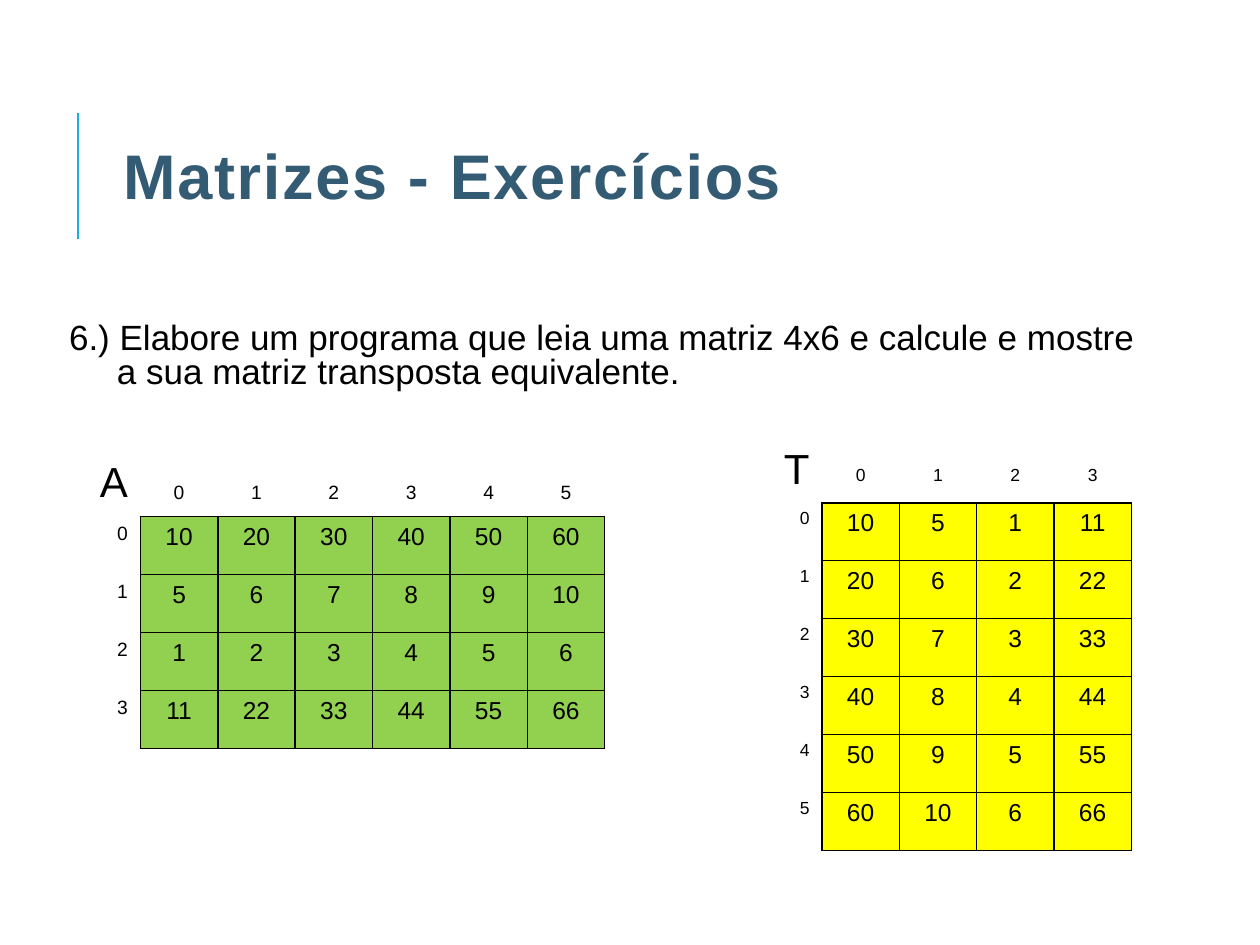
from dataclasses import dataclass

from lxml import etree
from pptx import Presentation
from pptx.dml.color import RGBColor
from pptx.enum.shapes import MSO_CONNECTOR
from pptx.enum.text import MSO_ANCHOR, PP_ALIGN
from pptx.oxml.ns import qn
from pptx.util import Inches, Pt

FONT = "Arial"
LEFT, CENTER, RIGHT = PP_ALIGN.LEFT, PP_ALIGN.CENTER, PP_ALIGN.RIGHT
MIDDLE, STRAIGHT = MSO_ANCHOR.MIDDLE, MSO_CONNECTOR.STRAIGHT
COLORS = {
    "accent": "1CADE4",
    "title": "335B74",
    "text": "000000",
    "border": "000000",
    "green": "92D050",
    "yellow": "FFFF00",
}
HEADER_H, ROW_H = 0.5, 0.46
MATRIX_A = [
    [10, 20, 30, 40, 50, 60],
    [5, 6, 7, 8, 9, 10],
    [1, 2, 3, 4, 5, 6],
    [11, 22, 33, 44, 55, 66],
]


@dataclass
class Matrix:
    name: str
    values: list
    left: float
    top: float
    width: float
    color: str
    index_size: int
    index_top: float


MATRICES = [
    Matrix("A", MATRIX_A, 0.5, 3.6, 4.3, "green", 11, 0.23),
    Matrix("T", list(zip(*MATRIX_A)), 5.91, 3.49, 3.07, "yellow", 10, 0.21),
]


def rgb(name: str) -> RGBColor:
    return RGBColor.from_string(COLORS[name])


def set_text(tf, text: str, size: int, color: str = "text", align=LEFT):
    tf.text = text
    p = tf.paragraphs[0]
    p.alignment = align
    r = p.runs[0]
    r.font.name, r.font.size = FONT, Pt(size)
    r.font.color.rgb = rgb(color)
    return p


def add_text(s, text: str, box: tuple, size: int, color: str = "text"):
    tf = s.shapes.add_textbox(*map(Inches, box)).text_frame
    tf.word_wrap = True
    return tf, set_text(tf, text, size, color)


def set_borders(cell, sides: str) -> None:
    """Rule the given sides (letters of LRTB) and clear the others."""
    tc_pr = cell._tc.get_or_add_tcPr()
    for side in "LRTB":
        ln = etree.SubElement(tc_pr, qn(f"a:ln{side}"), w=str(Pt(1)))
        if side in sides:
            fill = etree.SubElement(ln, qn("a:solidFill"))
            etree.SubElement(fill, qn("a:srgbClr"), val=COLORS["border"])
        else:
            etree.SubElement(ln, qn("a:noFill"))


def add_matrix(s, m: Matrix) -> None:
    """Draw the values with their row and column indices around them."""
    grid = [[m.name, *range(len(m.values[0]))]]
    grid += [[i, *row] for i, row in enumerate(m.values)]
    rows, cols = len(grid), len(grid[0])
    height = HEADER_H + ROW_H * (rows - 1)
    box = map(Inches, (m.left, m.top, m.width, height))
    table = s.shapes.add_table(rows, cols, *box).table
    table.first_row = table.horz_banding = False
    for column in table.columns:
        column.width = Inches(m.width / cols)
    for i, row in enumerate(grid):
        table.rows[i].height = Inches(ROW_H if i else HEADER_H)
        for j, value in enumerate(row):
            cell = table.cell(i, j)
            if i and j:
                size, sides = 14, "LRTB"
            elif i or j:
                size, sides = m.index_size, "R" if i else "B"
            else:
                size, sides = 24, ""
            set_borders(cell, sides)
            if i and j:
                cell.fill.solid()
                cell.fill.fore_color.rgb = rgb(m.color)
            else:
                cell.fill.background()
            if j and not i:
                cell.margin_top = Inches(m.index_top)
            set_text(cell.text_frame, str(value), size,
                     align=CENTER if j else RIGHT)


def main() -> None:
    prs = Presentation()
    prs.slide_width, prs.slide_height = Inches(10), Inches(7.5)
    s = prs.slides.add_slide(prs.slide_layouts[6])

    bar = s.shapes.add_connector(
        STRAIGHT, *map(Inches, (0.62, 1.9, 0.62, 0.9)))
    bar.line.color.rgb = rgb("accent")
    bar.line.width = Pt(1.5)
    etree.SubElement(bar._element.spPr, qn("a:effectLst"))

    tf, p = add_text(s, "Matrizes - Exercícios", (0.88, 0.76, 9, 1.25),
                     36, "title")
    tf.vertical_anchor = MIDDLE
    font = p.runs[0].font
    font.bold = True
    font._element.set("spc", "100")

    _, p = add_text(
        s, "6.) Elabore um programa que leia uma matriz 4x6 e calcule e "
        "mostre a sua matriz transposta equivalente.",
        (0.45, 2.52, 8.7, 0.65), 20)
    p.line_spacing = 0.8
    p_pr = p._p.get_or_add_pPr()
    p_pr.set("marL", str(Inches(0.38)))
    p_pr.set("indent", str(-Inches(0.38)))

    for matrix in MATRICES:
        add_matrix(s, matrix)
    prs.save("out.pptx")


if __name__ == "__main__":
    main()
